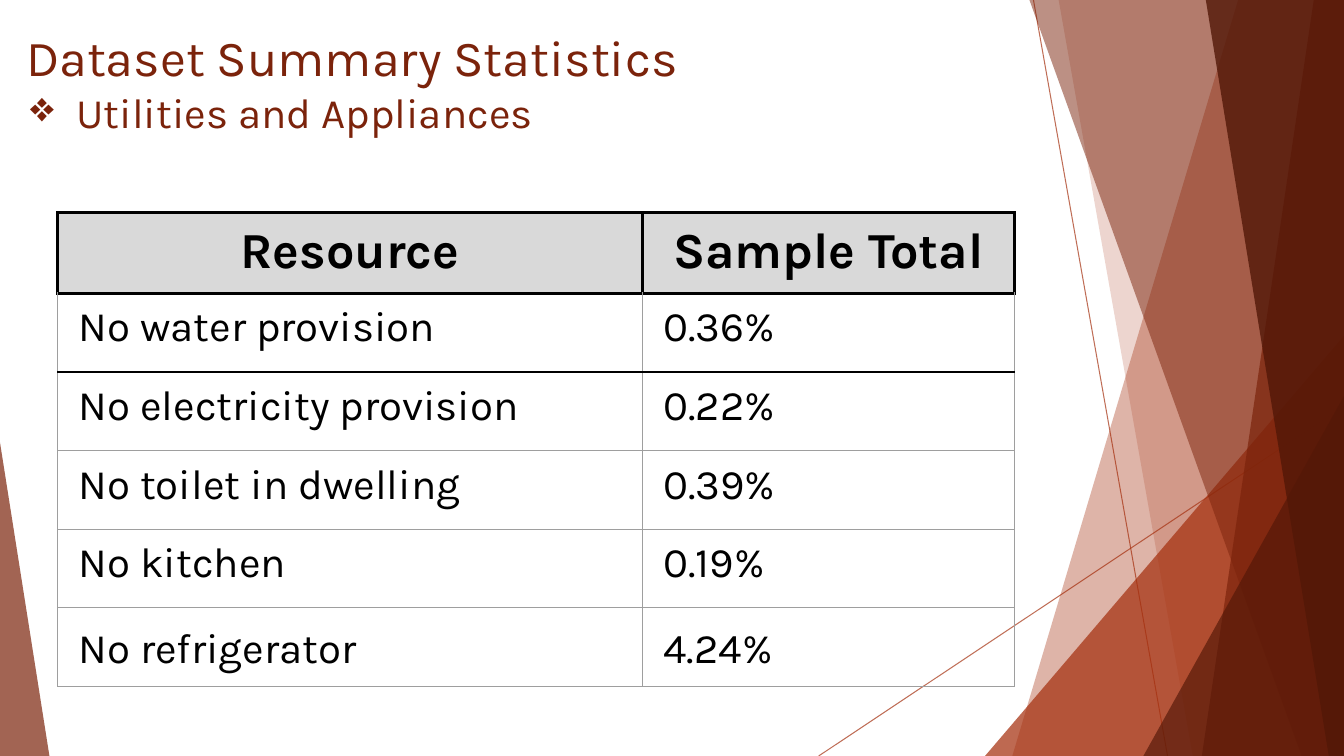
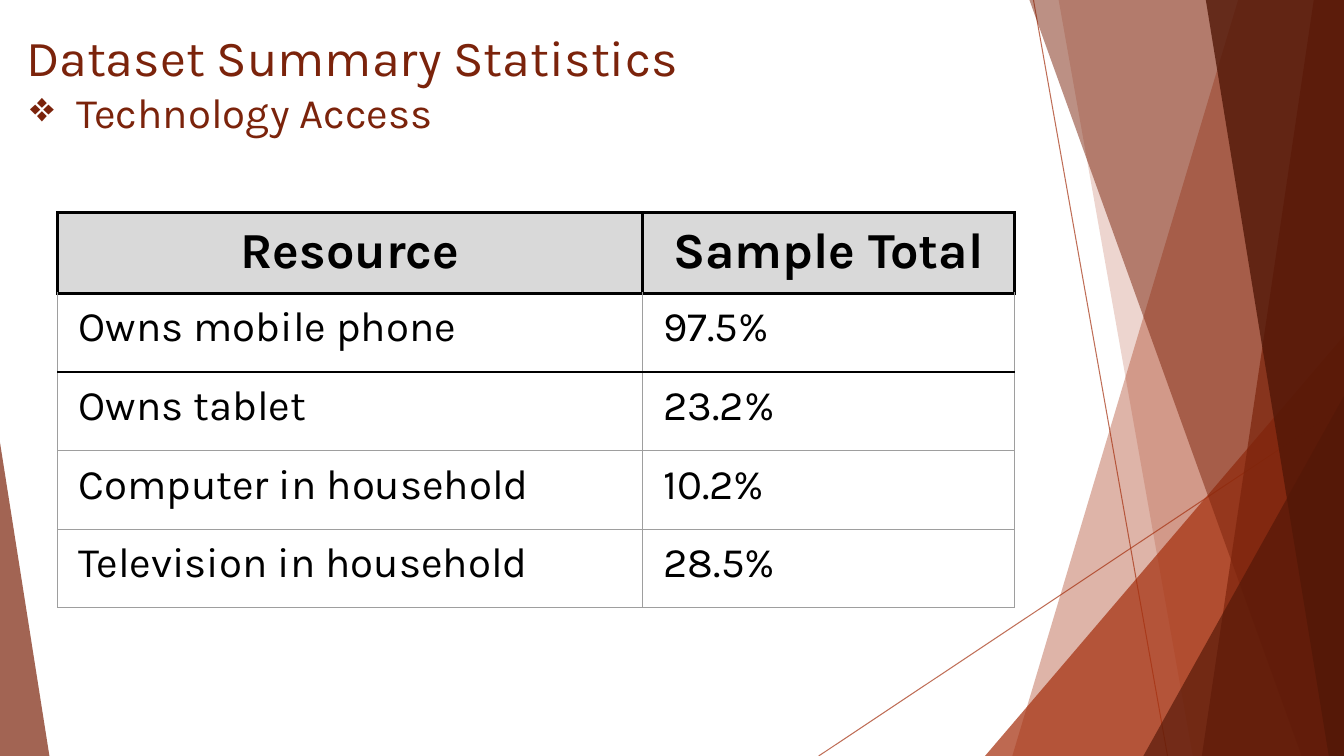
from lxml import etree
from pptx import Presentation
from pptx.dml.color import RGBColor
from pptx.enum.shapes import MSO_CONNECTOR, MSO_SHAPE
from pptx.enum.text import MSO_ANCHOR, PP_ALIGN
from pptx.oxml.ns import qn
from pptx.util import Pt

STRAIGHT = MSO_CONNECTOR.STRAIGHT
TRIANGLE = MSO_SHAPE.ISOSCELES_TRIANGLE
TOP = MSO_ANCHOR.TOP
CENTER, LEFT = PP_ALIGN.CENTER, PP_ALIGN.LEFT

SCALE = 9144  # EMU per px, 100 px to the inch
WIDE, HIGH = 1333, 750
FONT = "Karla"
BIG, SMALL = 36, 30
HEX = {
    "rust": "A5300F",
    "brown": "7B230B",
    "dark": "521707",
    "black": "000000",
    "gray": "9E9E9E",
    "head": "D9D9D9",
}
THICK, THIN = ("black", 2.25), ("gray", 0.75)

# Backdrop: lines, bands (top x, bottom x) and corner triangles, back to front
LINES = [(1025, 0, 1158, 750), (1333, 403, 812, 750)]
DECOR = [
    ("band", (1228, 1004), "rust", 36),
    ("band", (1050, 1183), "rust", 20),
    ("wedge", (977, 333, 356, 417, 1), "rust", 72),
    ("band", (1021, 1291), "brown", 50),
    ("band", (1303, 1192), "brown", 70),
    ("band", (1196, 1318), "dark", 80),
    ("wedge", (1134, 393, 199, 357, 1), "dark", 66),
    ("wedge", (0, 439, 49, 311, 0), "brown", 70),
]

# Table grid
COLS, ROW = (580, 369), 78
HEADS = ("Resource", "Sample Total")

TITLE = "Dataset Summary Statistics"
PAGES = [
    ("Utilities and Appliances", [
        ("No water provision", "0.36%"),
        ("No electricity provision", "0.22%"),
        ("No toilet in dwelling", "0.39%"),
        ("No kitchen", "0.19%"),
        ("No refrigerator", "4.24%"),
    ], {5: 1.15}),
    ("Technology Access", [
        ("Owns mobile phone", "97.5%"),
        ("Owns tablet", "23.2%"),
        ("Computer in household", "10.2%"),
        ("Television in household", "28.5%"),
    ], {}),
]


def px(*vals):
    return [val * SCALE for val in vals]


def rgb(name):
    return RGBColor.from_string(HEX[name])


class Deck:
    def __init__(self):
        self.prs = Presentation()
        self.prs.slide_width, self.prs.slide_height = px(WIDE, HIGH)
        self.slide = None

    def page(self):
        self.slide = self.prs.slides.add_slide(self.prs.slide_layouts[6])
        for ends in LINES:
            self.line(ends, "rust", 70)
        for kind, place, color, alpha in DECOR:
            draw = self.band if kind == "band" else self.wedge
            self.paint(draw(*place), color, alpha)

    # Shapes
    def fade(self, shape, alpha):
        for clr in shape.element.iter(qn("a:srgbClr")):
            etree.SubElement(clr, qn("a:alpha")).set("val", str(alpha * 1000))

    def paint(self, shape, color, alpha):
        shape.shadow.inherit = False
        shape.line.fill.background()
        shape.fill.solid()
        shape.fill.fore_color.rgb = rgb(color)
        self.fade(shape, alpha)

    def line(self, ends, color, alpha):
        line = self.slide.shapes.add_connector(STRAIGHT, *px(*ends))
        line.line.color.rgb = rgb(color)
        line.line.width = Pt(0.75)
        self.fade(line, alpha)
        etree.SubElement(line.element.spPr, qn("a:effectLst"))

    def band(self, top, foot):
        form = self.slide.shapes.build_freeform(top, 0, scale=SCALE)
        form.add_line_segments([(WIDE, 0), (WIDE, HIGH), (foot, HIGH)])
        return form.convert_to_shape()

    def wedge(self, x, y, w, h, peak):
        shape = self.slide.shapes.add_shape(TRIANGLE, *px(x, y, w, h))
        shape.adjustments[0] = peak
        return shape

    # Text
    def style(self, para, size, color, bold=False):
        for run in para.runs:
            run.font.name = FONT
            run.font.size = Pt(size)
            run.font.bold = bold
            run.font.color.rgb = rgb(color)

    def indent(self, para, left, first):
        props = para._p.get_or_add_pPr()
        props.set("marL", str(left * SCALE))
        props.set("indent", str(first * SCALE))
        return props

    def title(self, sub):
        box = self.slide.shapes.add_textbox(*px(16, 17, 940, 161))
        frame = box.text_frame
        frame.word_wrap = True
        frame.vertical_anchor = TOP
        frame.margin_left, frame.margin_top = px(10, 9)
        frame.text = TITLE + "\n" + sub
        head, item = frame.paragraphs
        self.style(head, BIG, "brown")
        self.style(item, SMALL, "brown")
        props = self.indent(item, 50, -46)
        tint = etree.SubElement(props, qn("a:buClr"))
        etree.SubElement(tint, qn("a:srgbClr")).set("val", HEX["brown"])
        etree.SubElement(props, qn("a:buChar")).set("char", "❖")

    # Table
    def edge(self, cell, side, color, width):
        props = cell._tc.get_or_add_tcPr()
        line = etree.SubElement(props, qn("a:ln" + side))
        line.set("w", str(Pt(width)))
        fill = etree.SubElement(line, qn("a:solidFill"))
        etree.SubElement(fill, qn("a:srgbClr")).set("val", HEX[color])

    def cell(self, cell, text, row, space):
        head = row == 0
        cell.text = text
        cell.vertical_anchor = TOP
        (cell.margin_left, cell.margin_right,
         cell.margin_top, cell.margin_bottom) = px(10, 10, 10, 10)
        para = cell.text_frame.paragraphs[0]
        para.alignment = CENTER if head else LEFT
        if not head:
            self.indent(para, 11, 0)
        if space:
            para.line_spacing = space
        self.style(para, BIG if head else SMALL, "black", head)
        # Heavy rules frame the heading and close the first row
        heavy = {"L": head, "R": head, "T": row < 3, "B": row < 2}
        for side, thick in heavy.items():
            self.edge(cell, side, *(THICK if thick else THIN))
        if head:
            cell.fill.solid()
            cell.fill.fore_color.rgb = rgb("head")
        else:
            cell.fill.background()

    def table(self, rows, spaces):
        data = [HEADS] + rows
        size = px(57, 211, sum(COLS), ROW * len(data))
        grid = self.slide.shapes.add_table(len(data), len(COLS), *size).table
        grid.first_row = grid.horz_banding = False
        for col, wide in zip(grid.columns, px(*COLS)):
            col.width = wide
        for r, texts in enumerate(data):
            grid.rows[r].height = ROW * SCALE
            for c, text in enumerate(texts):
                self.cell(grid.cell(r, c), text, r, spaces.get(r))


def main():
    deck = Deck()
    for sub, rows, spaces in PAGES:
        deck.page()
        deck.title(sub)
        deck.table(rows, spaces)
    deck.prs.save("out.pptx")


if __name__ == "__main__":
    main()
